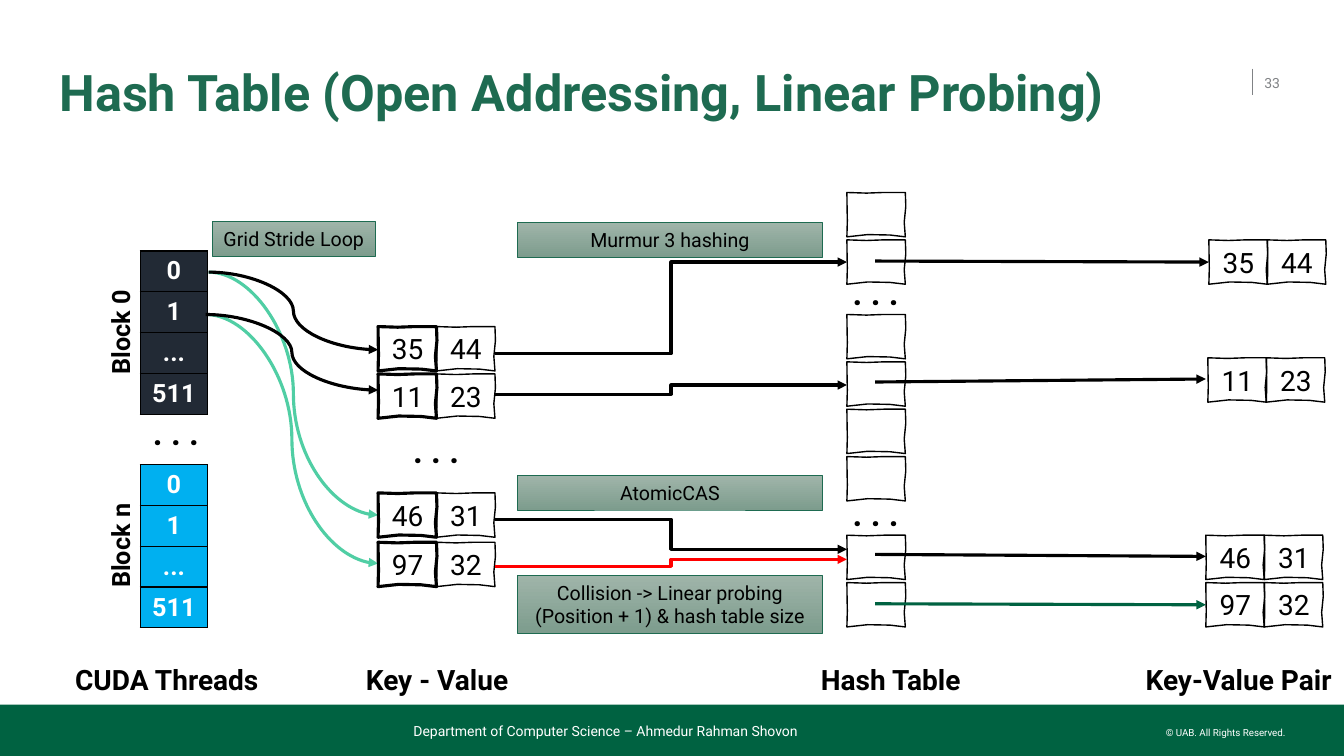
from dataclasses import dataclass
from typing import NamedTuple

from lxml import etree
from pptx import Presentation
from pptx.dml.color import RGBColor
from pptx.enum.shapes import MSO_CONNECTOR, MSO_SHAPE
from pptx.enum.text import MSO_ANCHOR, PP_ALIGN
from pptx.oxml.ns import qn
from pptx.util import Pt

PX = 9144
STRAIGHT, ELBOW, CURVE = MSO_CONNECTOR.STRAIGHT, MSO_CONNECTOR.ELBOW, MSO_CONNECTOR.CURVE
RECT = MSO_SHAPE.RECTANGLE
TOP, MIDDLE, BOTTOM = MSO_ANCHOR.TOP, MSO_ANCHOR.MIDDLE, MSO_ANCHOR.BOTTOM
LEFT, CENTER, RIGHT = PP_ALIGN.LEFT, PP_ALIGN.CENTER, PP_ALIGN.RIGHT
CELL_W, CELL_PITCH = 58, 47
WAVES = (((0, 0), (23, 2), (32, -1), (58, 0)),
         ((58, 0), (61, 12), (54, 31), (58, 44)),
         ((58, 44), (49, 42), (17, 40), (0, 44)),
         ((0, 44), (1, 23), (0, 21), (0, 0)))
WAVE_STEPS = 3


@dataclass(frozen=True)
class Theme:
    """Fonts, colours and type sizes of the deck."""
    font: str = "Roboto"
    black: str = "000000"
    white: str = "FFFFFF"
    gray: str = "808285"
    green: str = "006241"
    title_green: str = "1E6B51"
    mint: str = "50CEA4"
    red: str = "FF0000"
    navy: str = "222A35"
    sky: str = "00B0F0"
    note_top: str = "9FB4A9"
    note_bottom: str = "7D9C8D"
    title: int = 36
    dots: int = 24
    label: int = 20
    thread: int = 18
    note: int = 14
    small: int = 10
    tiny: int = 7


class Box(NamedTuple):
    """A rectangle in px."""
    x: int
    y: int
    w: int
    h: int

    def emu(self):
        """Return the four lengths in EMU."""
        return [v * PX for v in self]


T = Theme()


def rgb(color):
    """Turn a hex string into a colour."""
    return RGBColor.from_string(color)


def write(tf, text, size=T.label, color=T.black, bold=False, align=CENTER,
          anchor=MIDDLE, inset=(10, 5, 10, 5), wrap=True, spacing=None):
    """Write formatted text into a text frame."""
    tf.word_wrap = wrap
    tf.vertical_anchor = anchor
    tf.margin_left, tf.margin_top, tf.margin_right, tf.margin_bottom = [v * PX for v in inset]
    p = tf.paragraphs[0]
    p.alignment = align
    p.line_spacing = spacing
    for i, line in enumerate(text.split("\n")):
        if i:
            p.add_line_break()
        r = p.add_run()
        r.text = line
        r.font.name, r.font.size, r.font.bold = T.font, Pt(size), bold
        r.font.color.rgb = rgb(color)


def add_text(slide, box, text, rotation=0, **fmt):
    """Add a text box."""
    sp = slide.shapes.add_textbox(*box.emu())
    sp.rotation = rotation
    write(sp.text_frame, text, **fmt)


def add_line(slide, kind, x1, y1, x2, y2, color, width, arrow=True):
    """Add a connector, with an arrowhead at its end if asked."""
    sp = slide.shapes.add_connector(kind, x1 * PX, y1 * PX, x2 * PX, y2 * PX)
    sp.line.color.rgb = rgb(color)
    sp.line.width = Pt(width)
    if arrow:
        etree.SubElement(sp.line._get_or_add_ln(), qn("a:tailEnd"), type="triangle")
    etree.SubElement(sp._element.spPr, qn("a:effectLst"))


def add_dots(slide, x, y):
    """Add an ellipsis that stands for skipped rows."""
    add_text(slide, Box(x, y, 81, 52), ". . .", size=T.dots, bold=True)


def wave_point(curve, t):
    """Return the point of a cubic curve at t."""
    weights = ((1 - t) ** 3, 3 * t * (1 - t) ** 2, 3 * t * t * (1 - t), t ** 3)
    return [sum(w * pt[axis] for w, pt in zip(weights, curve)) for axis in (0, 1)]


def add_cell(slide, x, y, text="", width=1):
    """Add a memory cell with hand-drawn edges."""
    points = [wave_point(curve, i / WAVE_STEPS) for curve in WAVES for i in range(1, WAVE_STEPS + 1)]
    fb = slide.shapes.build_freeform(x * PX, y * PX)
    fb.add_line_segments([((x + dx) * PX, (y + dy) * PX) for dx, dy in points[:-1]], close=True)
    sp = fb.convert_to_shape()
    sp.shadow.inherit = False
    sp.fill.background()
    sp.line.color.rgb = rgb(T.black)
    sp.line.width = Pt(width)
    if text:
        write(sp.text_frame, text)


def add_pair(slide, x, y, key, value, key_width=1):
    """Add a key cell and a value cell side by side."""
    add_cell(slide, x + CELL_W, y, value)
    add_cell(slide, x, y, key, key_width)


def header(slide, box):
    """Add the title, the page number and its rule."""
    add_text(slide, Box(box.x, box.y, 1163, box.h), "Hash Table (Open Addressing, Linear Probing)",
             size=T.title, color=T.title_green, bold=True, align=LEFT, inset=(0, 0, 0, 0), spacing=0.9)
    right = box.x + box.w
    add_line(slide, STRAIGHT, right - 45, box.y + 16, right - 45, box.y + 42, T.gray, 1, arrow=False)
    add_text(slide, Box(right - 33, box.y + 10, 33, 40), "33", size=T.small, color=T.gray,
             align=LEFT, inset=(0, 5, 0, 5))


def footer(slide, box):
    """Add the green band with the department and the rights line."""
    sp = slide.shapes.add_shape(RECT, *box.emu())
    sp.shadow.inherit = False
    sp.fill.solid()
    sp.fill.fore_color.rgb = rgb(T.green)
    sp.line.fill.background()
    add_text(slide, Box(box.x + 410, box.y + 12, 708, 23),
             "Department of Computer Science – Ahmedur Rahman Shovon",
             size=T.small, color=T.white, align=LEFT, anchor=BOTTOM, inset=(0, 0, 0, 0))
    add_text(slide, Box(box.x + 1155, box.y + 22, 120, 12), "© UAB. All Rights Reserved.",
             size=T.tiny, color=T.white, align=RIGHT, anchor=TOP, inset=(0, 0, 0, 0), wrap=False)


def thread_block(slide, box, name, color):
    """Add a column of thread numbers with its turned name."""
    threads = ("0", "1", "...", "511")
    table = slide.shapes.add_table(len(threads), 1, *box.emu()).table
    table.first_row = table.horz_banding = False
    for row, thread in zip(table.rows, threads):
        row.height = box.h * PX // len(threads)
        cell = row.cells[0]
        tc_pr = cell._tc.get_or_add_tcPr()
        for side in ("a:lnL", "a:lnR", "a:lnT", "a:lnB"):
            ln = etree.SubElement(tc_pr, qn(side), w=str(Pt(1)))
            fill = etree.SubElement(ln, qn("a:solidFill"))
            etree.SubElement(fill, qn("a:srgbClr"), val=T.black)
        cell.fill.solid()
        cell.fill.fore_color.rgb = rgb(color)
        write(cell.text_frame, thread, size=T.thread, color=T.white, bold=True)
        cell.vertical_anchor = MIDDLE
        cell.margin_left = cell.margin_right = cell.margin_top = cell.margin_bottom = 5 * PX
    add_text(slide, Box(box.x - 20 - box.h // 2, box.y + 60, box.h, 41), name, rotation=270,
             size=T.thread, bold=True)


def key_values(slide, box):
    """Add the input pairs with their keys in bold frames."""
    rows = ((0, "35", "44"), (47, "11", "23"), (165, "46", "31"), (214, "97", "32"))
    for dy, key, value in rows:
        add_pair(slide, box.x, box.y + dy, key, value, key_width=2.25)
    add_dots(slide, box.x + 17, box.y + 96)


def hash_table(slide, box):
    """Add the column of slots in groups split by dots."""
    for start, count in ((0, 2), (121, 4), (340, 2)):
        for i in range(count):
            add_cell(slide, box.x, box.y + start + i * CELL_PITCH)
        if start:
            add_dots(slide, box.x - 12, box.y + start - 48)


def results(slide, box):
    """Add the stored pairs."""
    rows = ((3, 0, "35", "44"), (2, 117, "11", "23"), (0, 293, "46", "31"), (0, 340, "97", "32"))
    for dx, dy, key, value in rows:
        add_pair(slide, box.x + dx, box.y + dy, key, value)


def links(slide, box, kind, rows):
    """Add arrows whose ends are given from the corner of the box."""
    for x1, y1, x2, y2, color in rows:
        add_line(slide, kind, box.x + x1, box.y + y1, box.x + x2, box.y + y2, color, 2.25)


def note(slide, box, text):
    """Add a shaded step note."""
    sp = slide.shapes.add_shape(RECT, *box.emu())
    sp.shadow.inherit = False
    sp.fill.gradient()
    sp.fill.gradient_angle = 270
    for stop, color in zip(sp.fill.gradient_stops, (T.note_top, T.note_bottom)):
        stop.color.rgb = rgb(color)
    sp.line.color.rgb = rgb(T.title_green)
    sp.line.width = Pt(0.5)
    write(sp.text_frame, text, size=T.note)


def captions(slide, box):
    """Name the four columns."""
    columns = ((0, 213, "CUDA Threads"), (268, 213, "Key - Value"),
               (698, 253, "Hash Table"), (1019, 301, "Key-Value Pair"))
    for dx, w, text in columns:
        add_text(slide, Box(box.x + dx, box.y, w, box.h), text, bold=True)


def hash_slide(prs):
    """Build the hash table slide."""
    slide = prs.slides.add_slide(prs.slide_layouts[6])
    header(slide, Box(59, 52, 1228, 84))
    footer(slide, Box(0, 699, 1333, 51))
    stride = Box(204, 270, 171, 289)
    links(slide, stride, CURVE, ((0, 42, 171, 289, T.mint), (3, 0, 171, 241, T.mint)))
    thread_block(slide, Box(139, 249, 67, 162), "Block 0", T.navy)
    thread_block(slide, Box(139, 461, 67, 162), "Block n", T.sky)
    add_dots(slide, 134, 403)
    links(slide, stride, CURVE, ((3, 0, 171, 77, T.black), (0, 42, 171, 117, T.black)))
    key_values(slide, Box(375, 324, 116, 258))
    hash_table(slide, Box(840, 191, 58, 431))
    links(slide, Box(491, 260, 349, 302), ELBOW, (
        (0, 91, 349, 0, T.black), (0, 131, 349, 122, T.black),
        (0, 255, 349, 285, T.black), (0, 302, 349, 295, T.red)))
    results(slide, Box(1196, 238, 119, 384))
    links(slide, Box(868, 259, 331, 341), STRAIGHT, (
        (0, 0, 331, 1, T.black), (0, 120, 328, 117, T.black),
        (0, 291, 328, 293, T.black), (0, 340, 328, 341, T.green)))
    note(slide, Box(211, 220, 161, 34), "Grid Stride Loop")
    note(slide, Box(513, 221, 303, 34), "Murmur 3 hashing")
    note(slide, Box(513, 472, 303, 34), "AtomicCAS")
    note(slide, Box(513, 571, 303, 57), "Collision -> Linear probing\n(Position + 1) & hash table size")
    captions(slide, Box(59, 652, 1320, 44))


def main():
    """Build and save the deck."""
    prs = Presentation()
    prs.slide_width, prs.slide_height = 1333 * PX, 750 * PX
    hash_slide(prs)
    prs.save("out.pptx")


if __name__ == "__main__":
    main()
